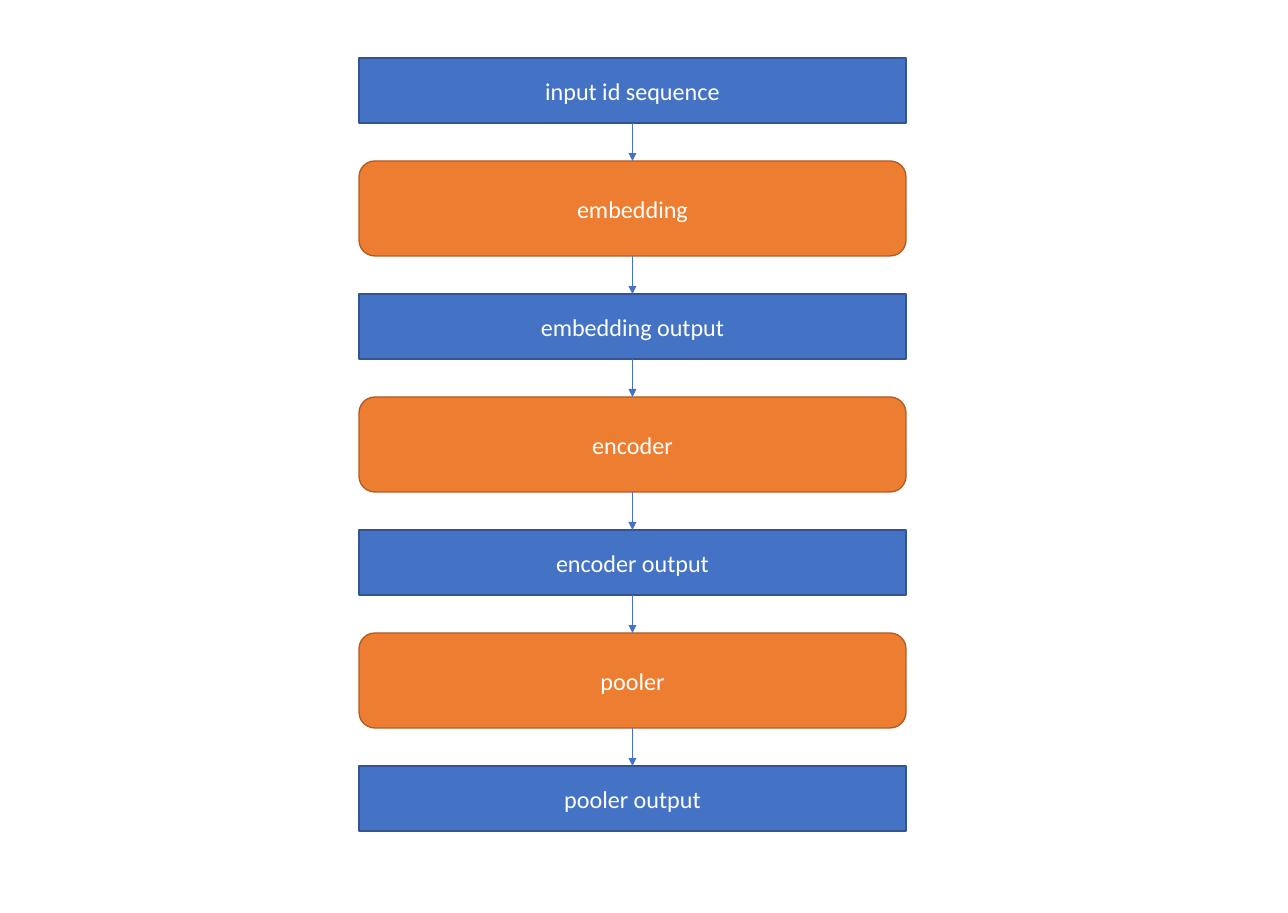
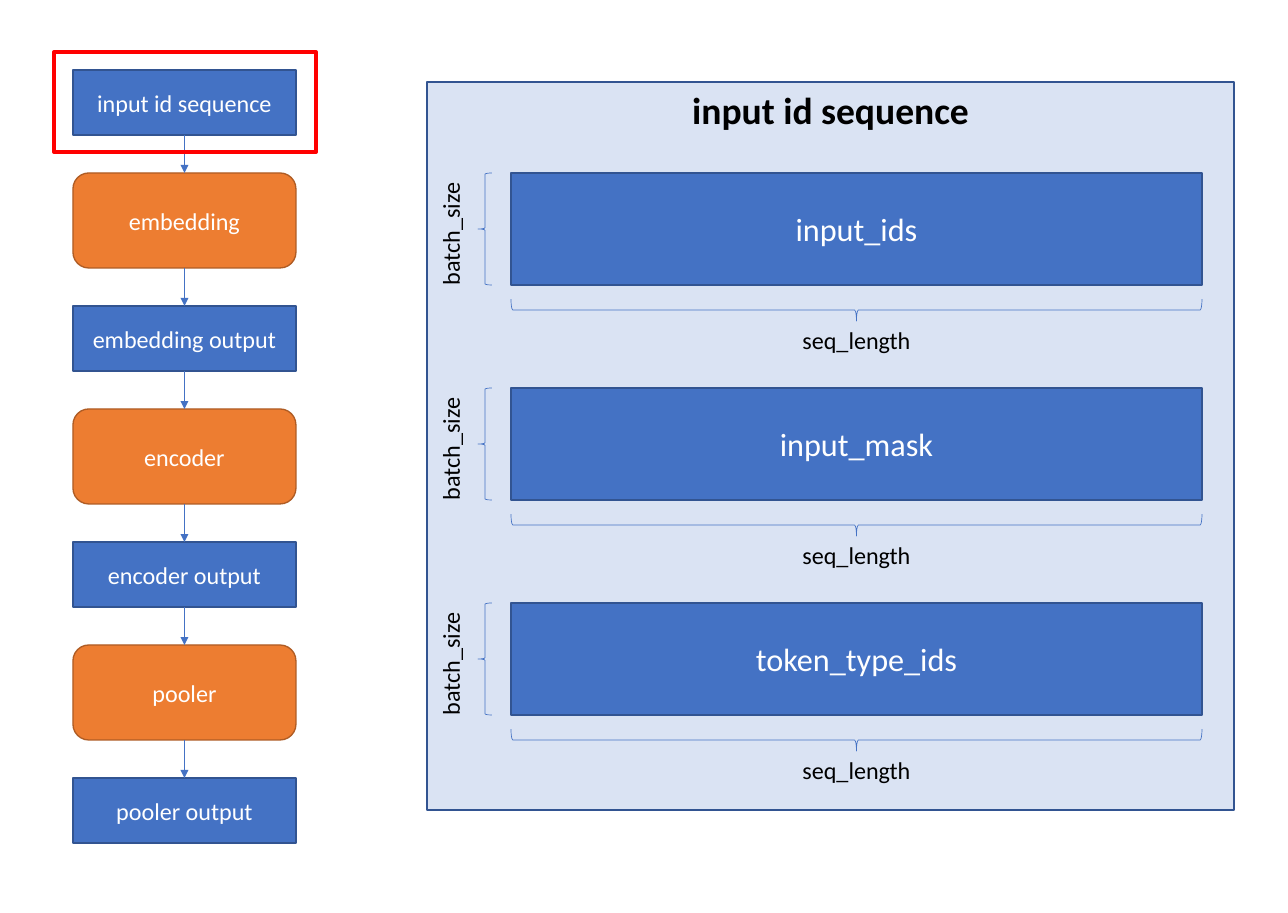
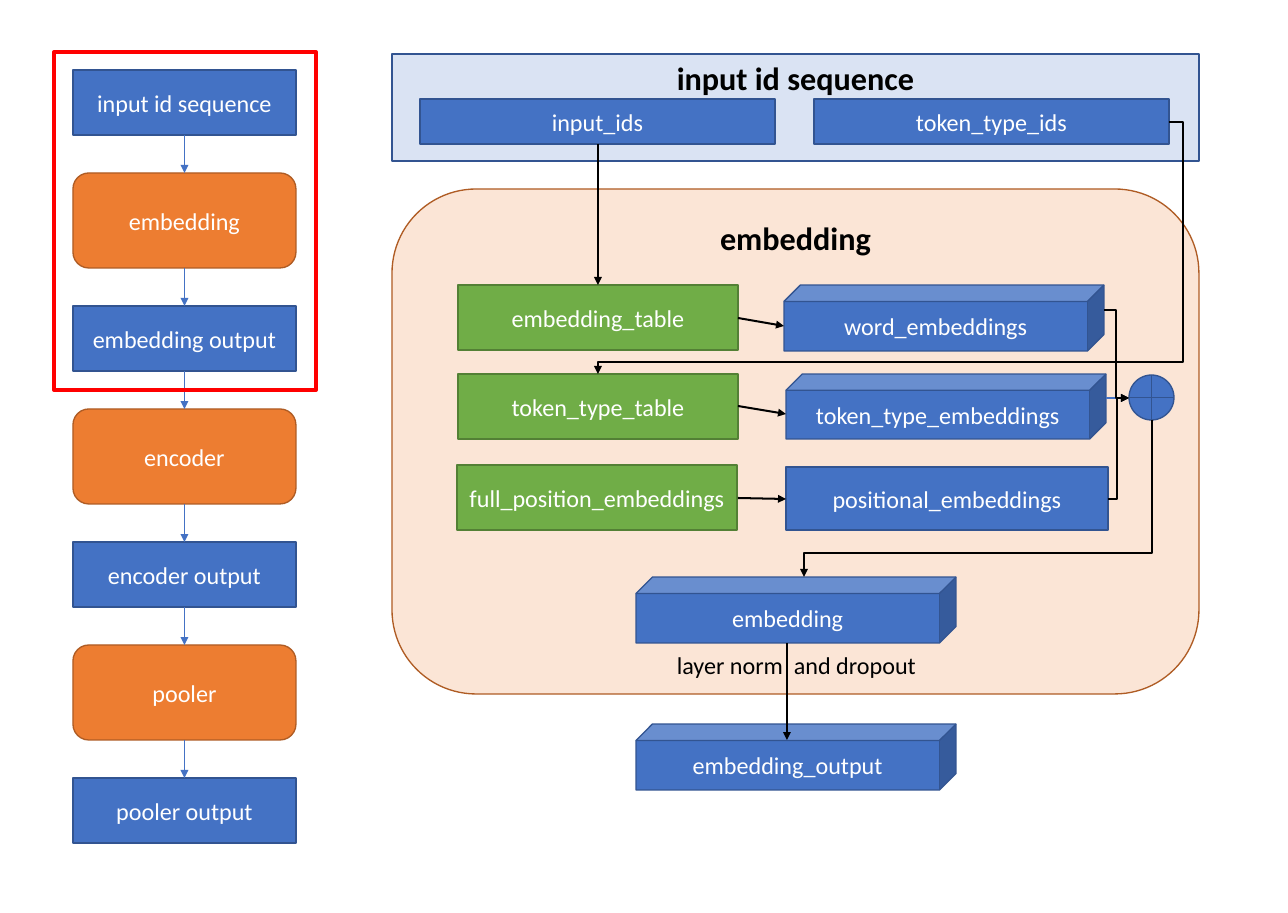
import pptx
import pptx.util
import pptx.dml.color
import pptx.enum.shapes
import pptx.enum.text
import pptx.oxml.ns
import lxml.etree

PX = 914400 / 96.6
SHAPE = pptx.enum.shapes.MSO_SHAPE
LINK = pptx.enum.shapes.MSO_CONNECTOR
ANCHOR = pptx.enum.text.MSO_ANCHOR
ALIGN = pptx.enum.text.PP_ALIGN
qn = pptx.oxml.ns.qn

FONT = "Calibri"
COLORS = {
    "blue": "4472C4", "blue_line": "325491", "pale_blue": "DAE3F3",
    "orange": "ED7D31", "orange_line": "AF5C24", "pale_orange": "FBE5D6",
    "green": "70AD47", "green_line": "538035",
    "red": "FF0000", "black": "000000", "white": "FFFFFF",
}
DATA = ("blue", "blue_line")
LAYER = ("orange", "orange_line")
TABLE = ("green", "green_line")
DATA_PANEL = ("pale_blue", "blue_line")
LAYER_PANEL = ("pale_orange", "orange_line")

STAGES = [
    ("input id sequence", False), ("embedding", True), ("embedding output", False),
    ("encoder", True), ("encoder output", False), ("pooler", True), ("pooler output", False),
]
DATA_H, LAYER_H, STAGE_GAP = 65, 95, 38

ARRAYS = ["input_ids", "input_mask", "token_type_ids"]
ARRAY_X, ARRAY_Y, ARRAY_W, ARRAY_H, ARRAY_STEP = 511, 173, 691, 112, 215

EMBEDDING_BOXES = [
    (SHAPE.RECTANGLE, (420, 99, 355, 45), DATA, "input_ids"),
    (SHAPE.RECTANGLE, (814, 99, 355, 45), DATA, "token_type_ids"),
    (SHAPE.RECTANGLE, (458, 285, 280, 65), TABLE, "embedding_table"),
    (SHAPE.RECTANGLE, (458, 374, 280, 65), TABLE, "token_type_table"),
    (SHAPE.RECTANGLE, (457, 465, 280, 65), TABLE, "full_position_embeddings"),
    (SHAPE.CUBE, (784, 285, 320, 66), DATA, "word_embeddings"),
    (SHAPE.CUBE, (786, 374, 320, 65), DATA, "token_type_embeddings"),
    (SHAPE.RECTANGLE, (786, 467, 322, 63), DATA, "positional_embeddings"),
    (SHAPE.CUBE, (636, 577, 320, 66), DATA, "embedding"),
    (SHAPE.CUBE, (636, 724, 320, 66), DATA, "embedding_output"),
    (SHAPE.FLOWCHART_OR, (1129, 375, 45, 45), DATA, ""),
]
STRAIGHT_ARROWS = [
    ((598, 144), (598, 285), "black"),
    ((738, 318), (784, 326), "black"),
    ((738, 406), (786, 414), "black"),
    ((738, 498), (786, 499), "black"),
    ((1106, 398), (1129, 398), "blue"),
    ((787, 643), (787, 740), "black"),
]
BENT_ARROWS = [
    ((1169, 122), (598, 374), [-2400, 95400], False),
    ((1104, 310), (1129, 398), [50000], False),
    ((1108, 499), (1129, 398), [43800], False),
    ((1152, 420), (804, 577), [85000], True),
]


def emu(*values):
    return [round(v * PX) for v in values]


def rgb(name):
    return pptx.dml.color.RGBColor.from_string(COLORS[name])


def write(shape, text, size, color, bold=False, align=ALIGN.CENTER):
    p = shape.text_frame.paragraphs[0]
    p.text = text
    p.alignment = align
    p.font.name = FONT
    p.font.size = pptx.util.Pt(size)
    p.font.bold = bold
    p.font.color.rgb = rgb(color)


def outline(s, kind, box, line, width, fill=None):
    sp = s.shapes.add_shape(kind, *emu(*box))
    sp.shadow.inherit = False
    if fill:
        sp.fill.solid()
        sp.fill.fore_color.rgb = rgb(fill)
    else:
        sp.fill.background()
    sp.line.color.rgb = rgb(line)
    sp.line.width = pptx.util.Pt(width)
    return sp


def block(s, kind, box, style, text, size=18):
    fill, line = style
    sp = outline(s, kind, box, line, 1, fill)
    sp.text_frame.word_wrap = True
    sp.text_frame.vertical_anchor = ANCHOR.MIDDLE
    if text:
        write(sp, text, size, "white")
    return sp


def panel(s, kind, box, style, title, size):
    sp = block(s, kind, box, style, "")
    sp.text_frame.vertical_anchor = ANCHOR.TOP
    write(sp, title, size, "black", bold=True)


def label(s, box, text, vertical=False):
    tb = s.shapes.add_textbox(*emu(*box))
    tb.text_frame.word_wrap = True
    write(tb, text, 18, "black", align=ALIGN.LEFT if vertical else ALIGN.CENTER)
    if vertical:
        tb.text_frame._txBody.bodyPr.set("vert", "vert270")


def arrow(s, start, end, color, width, kind=LINK.STRAIGHT):
    c = s.shapes.add_connector(kind, *emu(*start, *end))
    c.line.color.rgb = rgb(color)
    c.line.width = pptx.util.Pt(width)
    lxml.etree.SubElement(c.line._get_or_add_ln(), qn("a:tailEnd"), type="triangle")
    lxml.etree.SubElement(c._element.spPr, qn("a:effectLst"))
    return c


def bent_arrow(s, start, end, adjusts, turned):
    if turned:
        cx, cy = (start[0] + end[0]) / 2, (start[1] + end[1]) / 2
        half_w, half_h = abs(end[1] - start[1]) / 2, abs(end[0] - start[0]) / 2
        start, end = (cx - half_w, cy - half_h), (cx + half_w, cy + half_h)
    c = arrow(s, start, end, "black", 1.5, LINK.ELBOW)
    spPr = c._element.spPr
    if turned:
        spPr.find(qn("a:xfrm")).set("rot", "5400000")
    geom = spPr.find(qn("a:prstGeom"))
    geom.set("prst", f"bentConnector{len(adjusts) + 2}")
    guides = geom.find(qn("a:avLst"))
    for i, value in enumerate(adjusts, 1):
        lxml.etree.SubElement(guides, qn("a:gd"), name=f"adj{i}", fmla=f"val {value}")


def stage_column(s, x, y, w):
    previous = None
    for text, is_layer in STAGES:
        h = LAYER_H if is_layer else DATA_H
        kind = SHAPE.ROUNDED_RECTANGLE if is_layer else SHAPE.RECTANGLE
        sp = block(s, kind, (x, y, w, h), LAYER if is_layer else DATA, text)
        if previous:
            c = arrow(s, (x + w / 2, y - STAGE_GAP), (x + w / 2, y), "blue", 0.5)
            c.begin_connect(previous, 2)
            c.end_connect(sp, 0)
        previous = sp
        y += h + STAGE_GAP


def side_column(s, highlight_h):
    stage_column(s, 73, 70, 223)
    outline(s, SHAPE.RECTANGLE, (54, 52, 262, highlight_h), "red", 3)


def array(s, y, text):
    block(s, SHAPE.RECTANGLE, (ARRAY_X, y, ARRAY_W, ARRAY_H), DATA, text, 24)
    outline(s, SHAPE.LEFT_BRACE, (478, y, 14, ARRAY_H), "blue", 0.5)
    label(s, (431, y - 11, 48, 133), "batch_size", vertical=True)
    cx, cy, depth = ARRAY_X + ARRAY_W / 2, y + 137, 22
    brace = outline(s, SHAPE.LEFT_BRACE,
                    (cx - depth / 2, cy - ARRAY_W / 2, depth, ARRAY_W), "blue", 0.5)
    brace.rotation = 270
    label(s, (cx - 64, y + 148, 128, 39), "seq_length")


prs = pptx.Presentation()
prs.slide_width, prs.slide_height = emu(1288, 913)
overview, inputs, embedding = [prs.slides.add_slide(prs.slide_layouts[6]) for _ in range(3)]

stage_column(overview, 359, 58, 547)

side_column(inputs, 100)
panel(inputs, SHAPE.RECTANGLE, (427, 82, 807, 728), DATA_PANEL, "input id sequence", 28)
for i, name in enumerate(ARRAYS):
    array(inputs, ARRAY_Y + i * ARRAY_STEP, name)

side_column(embedding, 338)
panel(embedding, SHAPE.RECTANGLE, (392, 54, 807, 107), DATA_PANEL, "input id sequence", 24)
panel(embedding, SHAPE.ROUNDED_RECTANGLE, (392, 189, 807, 505), LAYER_PANEL, "embedding", 24)
for kind, box, style, text in EMBEDDING_BOXES:
    block(embedding, kind, box, style, text)
for start, end, color in STRAIGHT_ARROWS:
    arrow(embedding, start, end, color, 1.5)
for start, end, adjusts, turned in BENT_ARROWS:
    bent_arrow(embedding, start, end, adjusts, turned)
label(embedding, (663, 646, 267, 39), "layer norm  and dropout")

prs.save("out.pptx")
